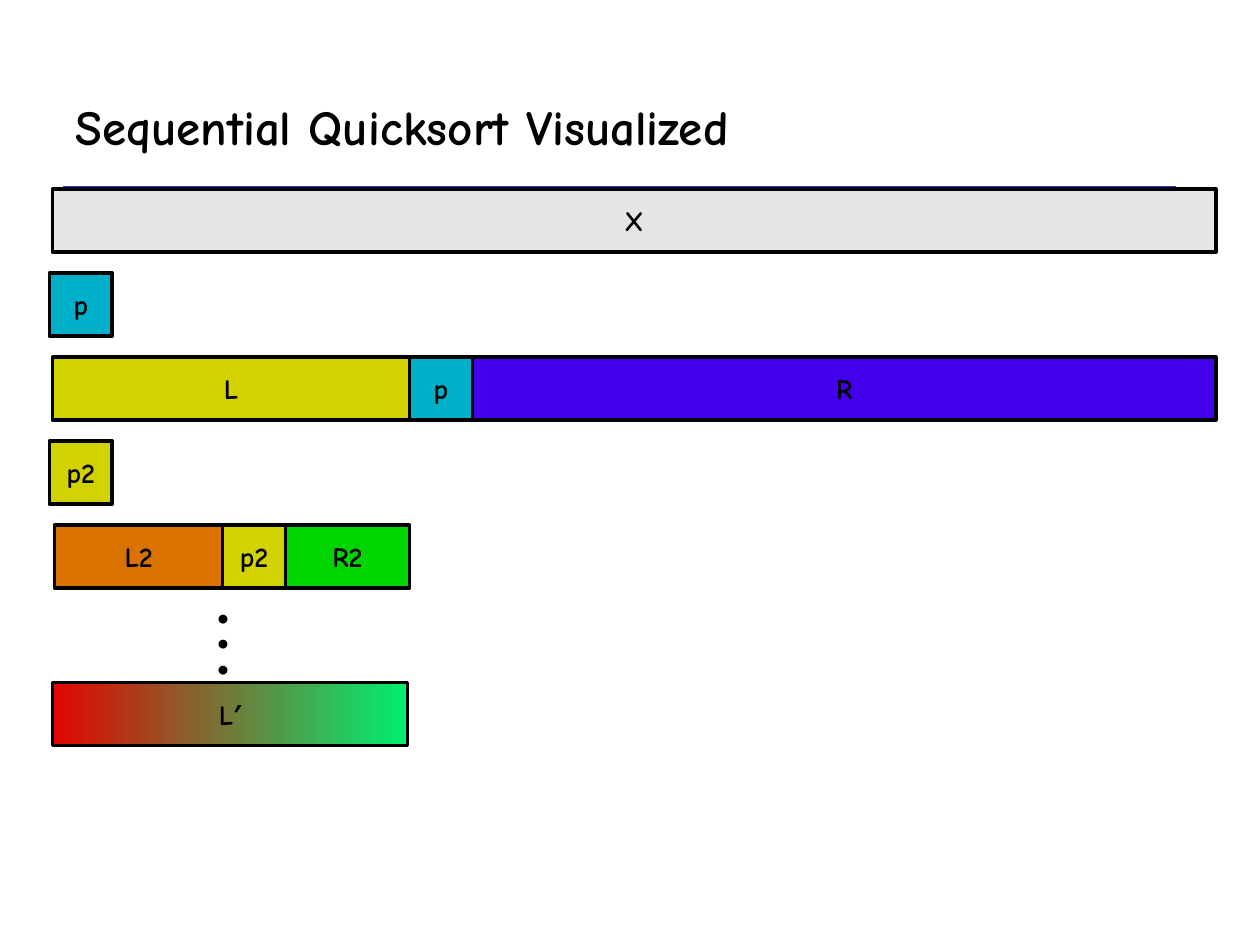
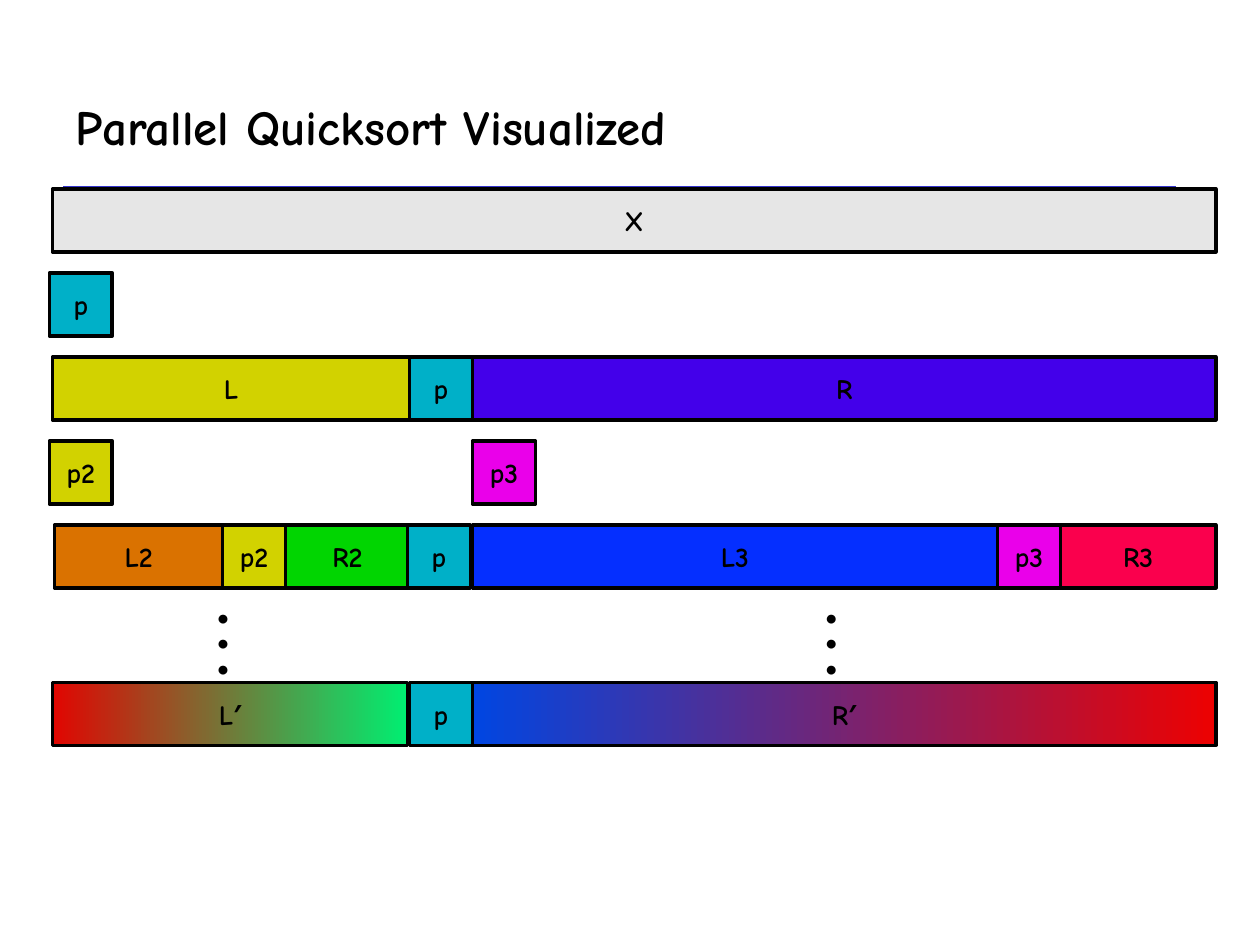
"""Build two slides that show sequential and parallel quicksort as bars."""
from lxml import etree
from pptx import Presentation, util as u
from pptx.dml.color import RGBColor
from pptx.enum import shapes, text
from pptx.oxml.ns import qn

Pt = u.Pt
COLORS = {
    "text": "000000", "rule": "3333CC", "X": "E6E6E6",
    "p": "00B0C8", "L": "D2D200", "R": "4300EA",
    "p2": "D2D200", "L2": "DA7200", "R2": "01D501",
    "p3": "EA00EA", "L3": "052FFF", "R3": "FA004D",
    "L′ start": "E10601", "L′ end": "00EE71",
    "R′ start": "0046E2", "R′ end": "ED0101",
}
FONT = "Comic Neue"
CELL, ROW_STEP = 36, 48
LEFT, RIGHT, TOP = 30, 694.8, 108
PIVOT, RIGHT_PART = 234, 270
LONE_LEFT = 28.2
FINAL_TOP = 390


def rgb(name):
    return RGBColor.from_string(COLORS[name])


def row_top(i):
    return TOP + i * ROW_STEP


def style(p, size, font=FONT):
    p.font.name, p.font.size, p.font.bold = font, Pt(size), True
    p.font.color.rgb = rgb("text")


def add_title(s, title, x, y, w, h):
    rule = s.shapes.add_connector(shapes.MSO_CONNECTOR.STRAIGHT,
                                  Pt(x), Pt(y + h), Pt(x + w), Pt(y + h))
    rule.line.color.rgb, rule.line.width = rgb("rule"), Pt(3)
    etree.SubElement(rule._element.spPr, qn("a:effectLst"))
    tf = s.shapes.add_textbox(Pt(x), Pt(y), Pt(w), Pt(h)).text_frame
    tf.word_wrap = True
    tf.vertical_anchor = text.MSO_ANCHOR.MIDDLE
    tf.text = title
    style(tf.paragraphs[0], 28)


def add_cell(s, label, x, y, w=CELL, h=CELL):
    sp = s.shapes.add_shape(shapes.MSO_SHAPE.RECTANGLE, Pt(x), Pt(y), Pt(w), Pt(h))
    sp.shadow.inherit = False
    if label in COLORS:
        sp.fill.solid()
        sp.fill.fore_color.rgb = rgb(label)
    else:
        sp.fill.gradient()
        sp.fill.gradient_angle = 0
        for stop, end in zip(sp.fill.gradient_stops, ("start", "end")):
            stop.color.rgb = rgb(f"{label} {end}")
    sp.line.color.rgb, sp.line.width = rgb("text"), Pt(2)
    tf = sp.text_frame
    tf.word_wrap = False
    tf.vertical_anchor = text.MSO_ANCHOR.MIDDLE
    tf.text = label
    p = tf.paragraphs[0]
    p.alignment = text.PP_ALIGN.CENTER
    style(p, 16)


def add_bar(s, x, y, cells):
    """Place (label, width) cells side by side from the left edge x."""
    for label, w in cells:
        add_cell(s, label, x, y, w)
        x += w


def add_dots(s, x, y, w=20, h=51):
    tf = s.shapes.add_textbox(Pt(x), Pt(y), Pt(w), Pt(h)).text_frame
    tf.word_wrap = False
    tf.text = "\n".join("•" * 3)
    for p in tf.paragraphs:
        style(p, 12, "Calibri")


def add_left_sort(s):
    """Draw the steps both slides share: the first split and the left part."""
    add_cell(s, "X", LEFT, row_top(0), RIGHT - LEFT)
    add_cell(s, "p", LONE_LEFT, row_top(1))
    add_bar(s, LEFT, row_top(2),
            [("L", PIVOT - LEFT), ("p", CELL), ("R", RIGHT - RIGHT_PART)])
    add_cell(s, "p2", LONE_LEFT, row_top(3))
    add_bar(s, 31.2, row_top(4), [("L2", 96), ("p2", CELL), ("R2", 70.8)])
    add_dots(s, 117.5, 342)
    add_cell(s, "L′", LEFT, FINAL_TOP, 203)


def add_right_sort(s):
    """Draw the right part, sorted at the same time as the left one."""
    add_cell(s, "p3", RIGHT_PART, row_top(3))
    add_bar(s, RIGHT_PART, row_top(4), [("L3", 300), ("p3", CELL), ("R3", 88.8)])
    add_cell(s, "p", 232.8, row_top(4))
    add_dots(s, 465, 342)
    add_bar(s, PIVOT, FINAL_TOP, [("p", CELL), ("R′", RIGHT - RIGHT_PART)])


def add_sort_slide(prs, title, parts):
    s = prs.slides.add_slide(prs.slide_layouts[6])
    add_title(s, title, 36, 36, 636, 72)
    for draw in parts:
        draw(s)


def main():
    prs = Presentation()
    prs.slide_width, prs.slide_height = Pt(720), Pt(540)
    add_sort_slide(prs, "Sequential Quicksort Visualized", [add_left_sort])
    add_sort_slide(prs, "Parallel Quicksort Visualized", [add_left_sort, add_right_sort])
    prs.save("out.pptx")


if __name__ == "__main__":
    main()
